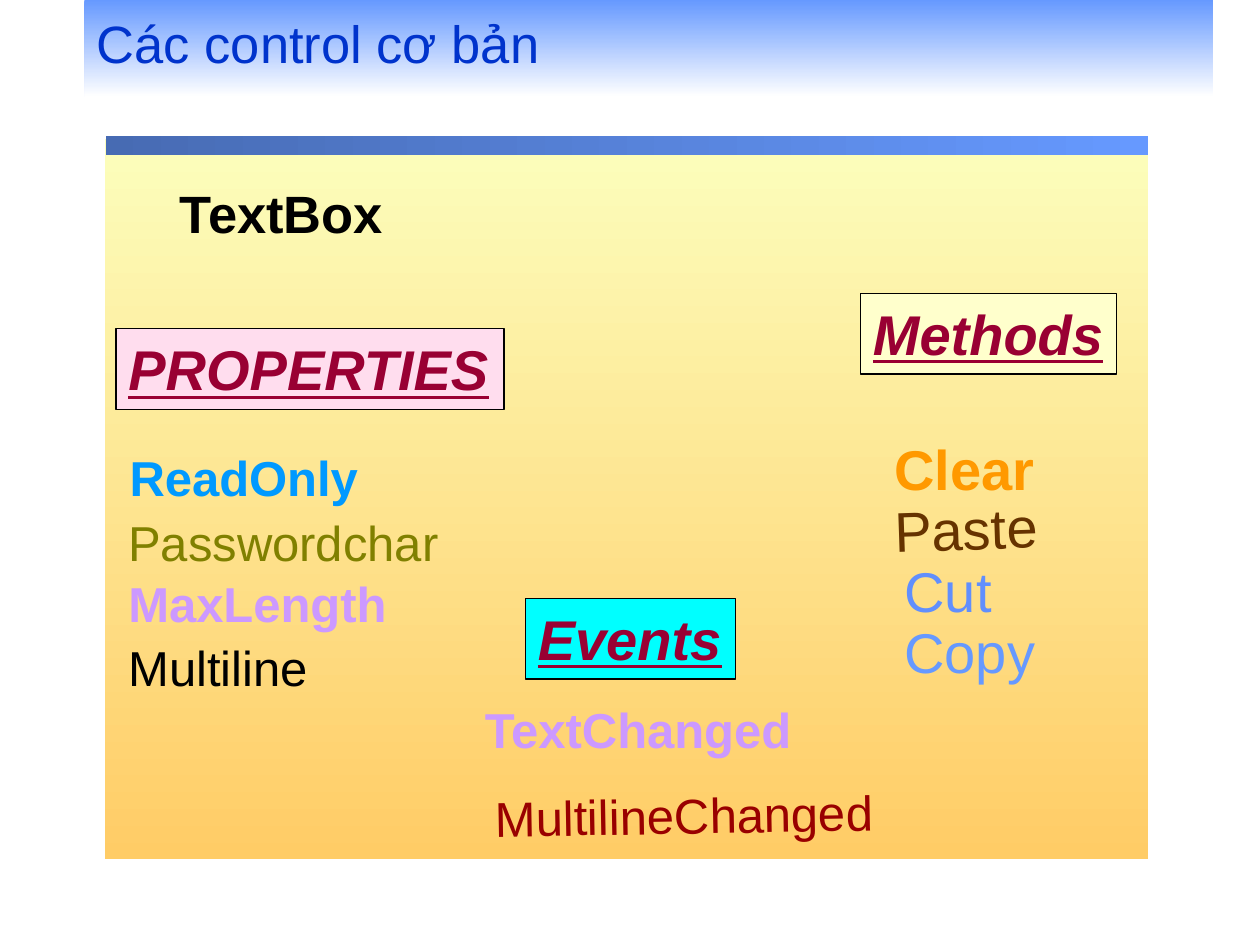
from typing import NamedTuple, Optional

import pptx
import pptx.dml.color
import pptx.enum.shapes
import pptx.enum.text
import pptx.util

Inches = pptx.util.Inches
Pt = pptx.util.Pt
RGBColor = pptx.dml.color.RGBColor
Anchor = pptx.enum.text.MSO_ANCHOR

FONT = "Arial"
BLACK = RGBColor(0x00, 0x00, 0x00)
WHITE = RGBColor(0xFF, 0xFF, 0xFF)
PALE_YELLOW = RGBColor(0xFC, 0xFE, 0xBC)
AMBER = RGBColor(0xFF, 0xCC, 0x66)
SKY = RGBColor(0x66, 0x99, 0xFF)
STEEL = RGBColor(0x47, 0x6B, 0xB3)
TITLE_BLUE = RGBColor(0x00, 0x33, 0xCC)
CRIMSON = RGBColor(0x99, 0x00, 0x33)
PINK = RGBColor(0xFF, 0xDD, 0xEE)
CYAN = RGBColor(0x00, 0xFF, 0xFF)
CREAM = RGBColor(0xFF, 0xFF, 0xCC)
LILAC = RGBColor(0xCC, 0x99, 0xFF)
OLIVE = RGBColor(0x80, 0x80, 0x00)
AZURE = RGBColor(0x00, 0x99, 0xFF)
ORANGE = RGBColor(0xFF, 0x99, 0x00)
CORNFLOWER = RGBColor(0x61, 0x8F, 0xFD)
BROWN = RGBColor(0x66, 0x33, 0x00)
DARK_RED = RGBColor(0x99, 0x00, 0x00)


class Box(NamedTuple):
    left: float
    top: float
    width: float
    height: float


class Band(NamedTuple):
    box: Box
    start: RGBColor
    end: RGBColor
    angle: int


class Label(NamedTuple):
    text: str
    box: Box
    size: int
    color: RGBColor
    bold: bool = False
    rotation: int = 0
    anchor: Anchor = Anchor.TOP
    line_spacing: Optional[float] = None


class Heading(NamedTuple):
    text: str
    box: Box
    fill: RGBColor


BANDS = [
    Band(Box(0.83, 1.1, 8.28, 5.72), PALE_YELLOW, AMBER, 270),
    Band(Box(0.84, 1.08, 8.27, 0.15), SKY, STEEL, 180),
    Band(Box(0.67, 0, 8.96, 0.77), SKY, WHITE, 270),
]
HEADINGS = [
    Heading("PROPERTIES", Box(0.92, 2.61, 3.08, 0.64), PINK),
    Heading("Events", Box(4.17, 4.75, 1.67, 0.64), CYAN),
    Heading("Methods", Box(6.83, 2.33, 2.03, 0.64), CREAM),
]
LABELS = [
    Label("Các control cơ bản", BANDS[-1].box, 30, TITLE_BLUE,
          anchor=Anchor.MIDDLE, line_spacing=0.8),
    Label("TextBox", Box(1.33, 1.08, 7.71, 0.9), 30, BLACK, bold=True,
          anchor=Anchor.BOTTOM, line_spacing=0.8),
    Label("ReadOnly", Box(0.93, 3.5, 2.13, 0.57), 28, AZURE, bold=True),
    Label("Passwordchar", Box(0.92, 4.02, 2.74, 0.57), 28, OLIVE),
    Label("MaxLength", Box(0.92, 4.5, 2.33, 0.57), 28, LILAC, bold=True),
    Label("Multiline", Box(0.92, 5.01, 1.7, 0.57), 28, BLACK),
    Label("Clear", Box(7, 3.4, 1.44, 0.63), 32, ORANGE, bold=True),
    Label("Paste", Box(7, 3.87, 1.46, 0.63), 32, BROWN, rotation=358),
    Label("Cut", Box(7.08, 4.37, 1.02, 0.63), 32, CORNFLOWER),
    Label("Copy", Box(7.08, 4.85, 1.36, 0.63), 32, SKY),
    Label("TextChanged", Box(3.75, 5.5, 2.78, 0.57), 28, LILAC, bold=True),
    Label("MultilineChanged", Box(3.83, 6.18, 3.32, 0.57), 28, DARK_RED,
          rotation=359),
]


def add_rectangle(slide, box: Box):
    shape = slide.shapes.add_shape(
        pptx.enum.shapes.MSO_SHAPE.RECTANGLE, *map(Inches, box))
    shape.shadow.inherit = False
    return shape


def write_text(shape, text: str, size: int, color: RGBColor, bold: bool):
    text_frame = shape.text_frame
    text_frame.text = text
    text_frame.word_wrap = True
    paragraph = text_frame.paragraphs[0]
    paragraph.alignment = pptx.enum.text.PP_ALIGN.LEFT
    font = paragraph.runs[0].font
    font.name = FONT
    font.size = Pt(size)
    font.bold = bold
    font.color.rgb = color
    return font


def draw_band(slide, band: Band) -> None:
    shape = add_rectangle(slide, band.box)
    shape.line.fill.background()
    shape.fill.gradient()
    shape.fill.gradient_angle = band.angle
    for stop, color in zip(shape.fill.gradient_stops, (band.start, band.end)):
        stop.color.rgb = color


def draw_heading(slide, heading: Heading) -> None:
    shape = add_rectangle(slide, heading.box)
    shape.fill.solid()
    shape.fill.fore_color.rgb = heading.fill
    shape.line.color.rgb = BLACK
    shape.line.width = Pt(0.75)
    shape.text_frame.vertical_anchor = Anchor.TOP
    font = write_text(shape, heading.text, 32, CRIMSON, True)
    font.italic = True
    font.underline = True


def draw_label(slide, label: Label) -> None:
    shape = slide.shapes.add_textbox(*map(Inches, label.box))
    shape.rotation = label.rotation
    write_text(shape, label.text, label.size, label.color, label.bold)
    shape.text_frame.vertical_anchor = label.anchor
    shape.text_frame.paragraphs[0].line_spacing = label.line_spacing


def main() -> None:
    presentation = pptx.Presentation()
    presentation.slide_width = Inches(10)
    presentation.slide_height = Inches(7.5)
    slide = presentation.slides.add_slide(presentation.slide_layouts[6])
    for band in BANDS:
        draw_band(slide, band)
    for heading in HEADINGS:
        draw_heading(slide, heading)
    for label in LABELS:
        draw_label(slide, label)
    presentation.save("out.pptx")


if __name__ == "__main__":
    main()
